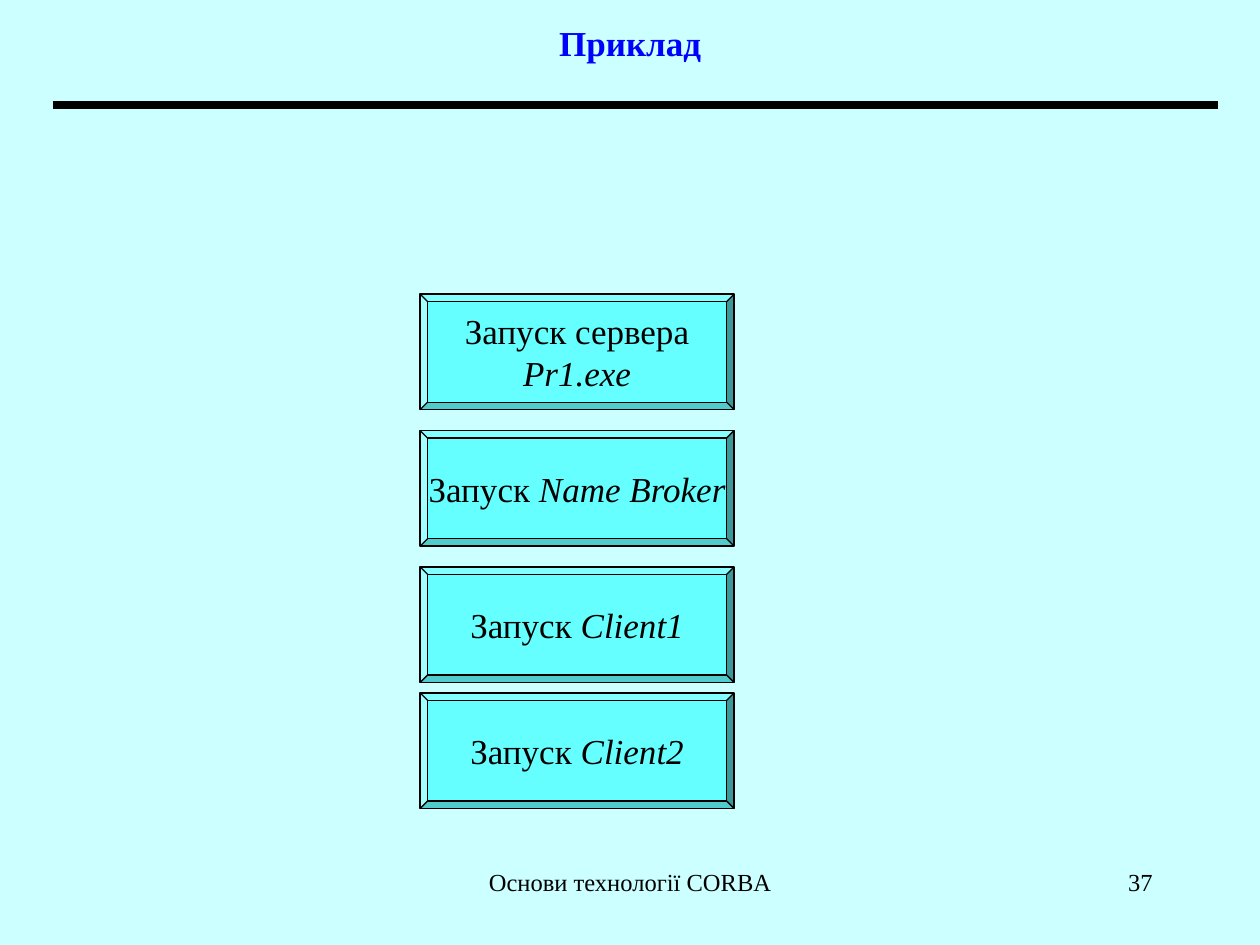
from pptx import Presentation
from pptx.dml.color import RGBColor
from pptx.enum.shapes import MSO_CONNECTOR, MSO_SHAPE
from pptx.enum.text import MSO_ANCHOR as Anchor, MSO_AUTO_SIZE as AutoSize, PP_ALIGN as Align
from pptx.oxml.ns import qn
from pptx.util import Cm, Pt
from lxml.etree import SubElement

# Content: each step is a list of paragraphs, each paragraph a list of (text, italic)
TITLE = "Приклад"
STEPS = [
    (5.93, [[("Запуск сервера", False)], [("Pr1.exe", True)]]),
    (8.68, [[("Запуск ", False), ("Name Broker", True)]]),
    (11.43, [[("Запуск ", False), ("Client1", True)]]),
    (13.97, [[("Запуск ", False), ("Client2", True)]]),
]
FOOTERS = [
    ("Основи технології CORBA", 8.68, 8.05, Align.CENTER),
    ("37", 18.21, 5.28, Align.RIGHT),
]

COLORS = {"page": "CCFFFF", "title": "0000FF", "step": "66FFFF", "ink": "000000"}
FONT = "Times New Roman"
STEP_LEFT, STEP_WIDTH, STEP_HEIGHT = 8.47, 6.33, 2.33
FOOTER_TOP, FOOTER_HEIGHT = 17.36, 1.27


def color(name):
    return RGBColor.from_string(COLORS[name])


def write(box, paragraphs, size, ink="ink", align=Align.CENTER, bold=False,
          anchor=Anchor.MIDDLE, wrap=True):
    frame = box.text_frame
    frame.auto_size = AutoSize.NONE
    frame.vertical_anchor = anchor
    frame.word_wrap = wrap
    for index, spans in enumerate(paragraphs):
        para = frame.add_paragraph() if index else frame.paragraphs[0]
        para.alignment = align
        for text, italic in spans:
            span = para.add_run()
            span.text = text
            style = {"name": FONT, "size": Pt(size), "bold": bold, "italic": italic}
            for key, value in style.items():
                setattr(span.font, key, value)
            span.font.color.rgb = color(ink)


def main():
    deck = Presentation()
    deck.slide_width, deck.slide_height = Cm(25.4), Cm(19.05)
    page = deck.slides.add_slide(deck.slide_layouts[5])
    page.background.fill.solid()
    page.background.fill.fore_color.rgb = color("page")

    # Title
    title = page.shapes.title
    place = {"left": 1.91, "top": 0, "width": 21.59, "height": 1.7}
    for key, value in place.items():
        setattr(title, key, Cm(value))
    write(title, [[(TITLE, False)]], 20, ink="title", bold=True)

    # Rule under the title
    rule = page.shapes.add_connector(
        MSO_CONNECTOR.STRAIGHT, Cm(1.06), Cm(2.12), Cm(24.55), Cm(2.12))
    rule.line.color.rgb = color("ink")
    rule.line.width = Pt(4.5)
    SubElement(rule._element.spPr, qn("a:effectLst"))

    # Launch steps
    for top, paragraphs in STEPS:
        step = page.shapes.add_shape(
            MSO_SHAPE.BEVEL, Cm(STEP_LEFT), Cm(top), Cm(STEP_WIDTH), Cm(STEP_HEIGHT))
        step.adjustments[0] = 0.065
        step.shadow.inherit = False
        step.fill.solid()
        step.fill.fore_color.rgb = color("step")
        step.line.color.rgb = color("ink")
        step.line.width = Pt(0.75)
        write(step, paragraphs, 20, wrap=False)

    # Footer and page number
    for text, left, width, align in FOOTERS:
        footer = page.shapes.add_textbox(
            Cm(left), Cm(FOOTER_TOP), Cm(width), Cm(FOOTER_HEIGHT))
        write(footer, [[(text, False)]], 14, align=align, anchor=Anchor.TOP)

    deck.save("out.pptx")


if __name__ == "__main__":
    main()
